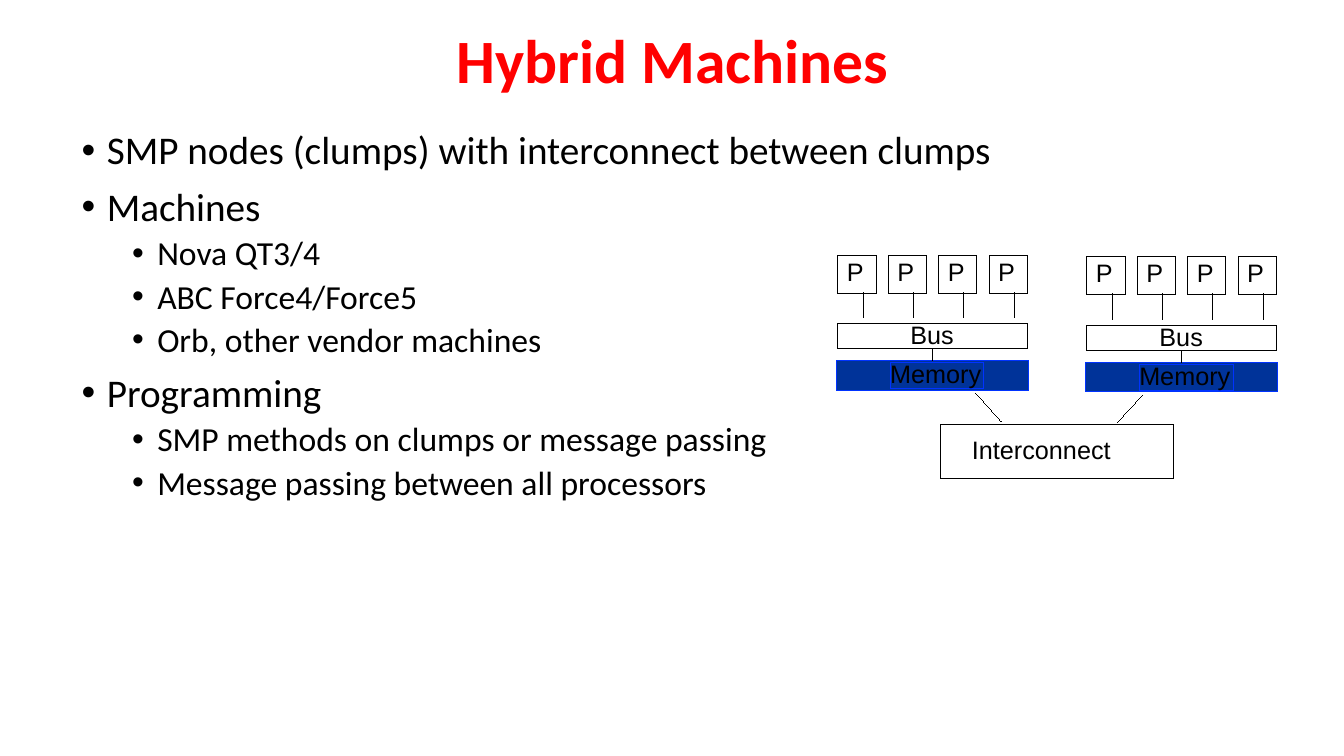
from lxml.etree import SubElement
from pptx import Presentation
from pptx.dml.color import RGBColor
from pptx.enum.shapes import MSO_CONNECTOR, MSO_SHAPE
from pptx.enum.text import MSO_ANCHOR, MSO_AUTO_SIZE, PP_ALIGN
from pptx.oxml.ns import qn
from pptx.util import Inches, Pt

RED = RGBColor(0xFF, 0x00, 0x00)
BLACK = RGBColor(0x00, 0x00, 0x00)
WHITE = RGBColor(0xFF, 0xFF, 0xFF)
NAVY = RGBColor(0x00, 0x33, 0x99)
BLUE = RGBColor(0x00, 0x33, 0xFF)

TITLE = "Hybrid Machines"
POINTS = [
    (0, "SMP nodes (clumps) with interconnect between clumps"),
    (0, "Machines"),
    (1, "Nova QT3/4"),
    (1, "ABC Force4/Force5"),
    (1, "Orb, other vendor machines"),
    (0, "Programming"),
    (1, "SMP methods on clumps or message passing"),
    (1, "Message passing between all processors"),
]


def grid(*cells):
    """Turn columns and rows of a half-inch grid into lengths."""
    return [Inches(cell * 0.5) for cell in cells]


class Board:
    head, label = "Calibri", "Arial"
    hair = Pt(0.01)

    def __init__(self, slide):
        self.slide = slide
        self.shapes = slide.shapes

    def place(self, holder, *cells):
        holder.left, holder.top, holder.width, holder.height = grid(*cells)
        frame = holder.text_frame
        frame.vertical_anchor = MSO_ANCHOR.TOP
        frame.auto_size = MSO_AUTO_SIZE.NONE
        return frame

    def font(self, para, name, size, color, bold=False):
        font = para.font
        font.name, font.size, font.bold = name, Pt(size), bold
        font.color.rgb = color

    def title(self, text, *cells):
        para = self.place(self.shapes.title, *cells).paragraphs[0]
        para.text = text
        para.alignment = PP_ALIGN.CENTER
        para.line_spacing = 0.9
        self.font(para, self.head, 44, RED, True)

    def points(self, items, *cells):
        frame = self.place(self.slide.placeholders[1], *cells)
        for i, (level, text) in enumerate(items):
            para = frame.add_paragraph() if i else frame.paragraphs[0]
            para.text, para.level = text, level
            para.line_spacing = 0.9
            para.space_before = Pt(5 if level else 10)
            props = para._p.get_or_add_pPr()
            props.set("marL", str(Inches(0.25 + 0.5 * level)))
            props.set("indent", str(Inches(-0.25)))
            SubElement(props, qn("a:buFont"), typeface="Arial")
            SubElement(props, qn("a:buChar"), char="•")
            self.font(para, self.head, 24 if level else 28, BLACK)

    def box(self, *cells, fill=WHITE, edge=BLACK):
        rect = self.shapes.add_shape(MSO_SHAPE.RECTANGLE, *grid(*cells))
        rect.shadow.inherit = False
        rect.fill.solid()
        rect.fill.fore_color.rgb = fill
        rect.line.color.rgb = edge
        rect.line.width = self.hair
        return rect

    def text(self, words, *cells):
        frame = self.shapes.add_textbox(*grid(*cells, 0.6)).text_frame
        frame.margin_left = frame.margin_right = 0
        frame.margin_top = frame.margin_bottom = 0
        frame.word_wrap = False
        frame.auto_size = MSO_AUTO_SIZE.SHAPE_TO_FIT_TEXT
        para = frame.paragraphs[0]
        para.text = words
        self.font(para, self.label, 18, BLACK)

    def line(self, *cells):
        link = self.shapes.add_connector(MSO_CONNECTOR.STRAIGHT, *grid(*cells))
        link.line.color.rgb = BLACK
        link.line.width = self.hair
        SubElement(link._element.spPr, qn("a:effectLst"))
        return link

    def clump(self, x, y):
        # Memory with its inner plate
        store = self.box(x - 0.02, y + 2.1, 3.8, 0.58, fill=NAVY, edge=BLUE)
        self.box(x + 1.04, y + 2.14, 1.86, 0.52, fill=NAVY, edge=BLUE)
        self.text("Memory", x + 1.04, y + 2.06, 1.86)

        # Four processors, each with a stub towards the bus
        for col in range(4):
            left = x + col
            self.box(left, y, 0.76, 0.76)
            self.text("P", left + 0.18, y + 0.02, 0.36)
            self.line(left + 0.5, y + 0.74, left + 0.5, y + 1.24)

        # Bus, joined to the memory
        bus = self.box(x, y + 1.36, 3.76, 0.5)
        self.text("Bus", x + 1.44, y + 1.28, 0.92)
        stem = self.line(x + 1.88, y + 1.86, x + 1.88, y + 2.1)
        stem.begin_connect(bus, 2)
        stem.end_connect(store, 0)


def main():
    deck = Presentation()
    deck.slide_width, deck.slide_height = Inches(13.33), Inches(7.5)
    board = Board(deck.slides.add_slide(deck.slide_layouts[1]))

    # Title and list
    board.title(TITLE, 4.34, 0.5, 18, 1.94)
    board.points(POINTS, 1.42, 2.5, 20.9, 9.9)

    # Two clumps
    board.clump(16.62, 5.06)
    board.clump(21.56, 5.09)

    # Interconnect and its links
    board.box(18.66, 8.42, 4.62, 1.08)
    board.text("Interconnect", 19.28, 8.62, 2.84)
    board.line(19.36, 7.8, 19.86, 8.36)
    board.line(22.66, 7.84, 22.16, 8.38)

    deck.save("out.pptx")


if __name__ == "__main__":
    main()
